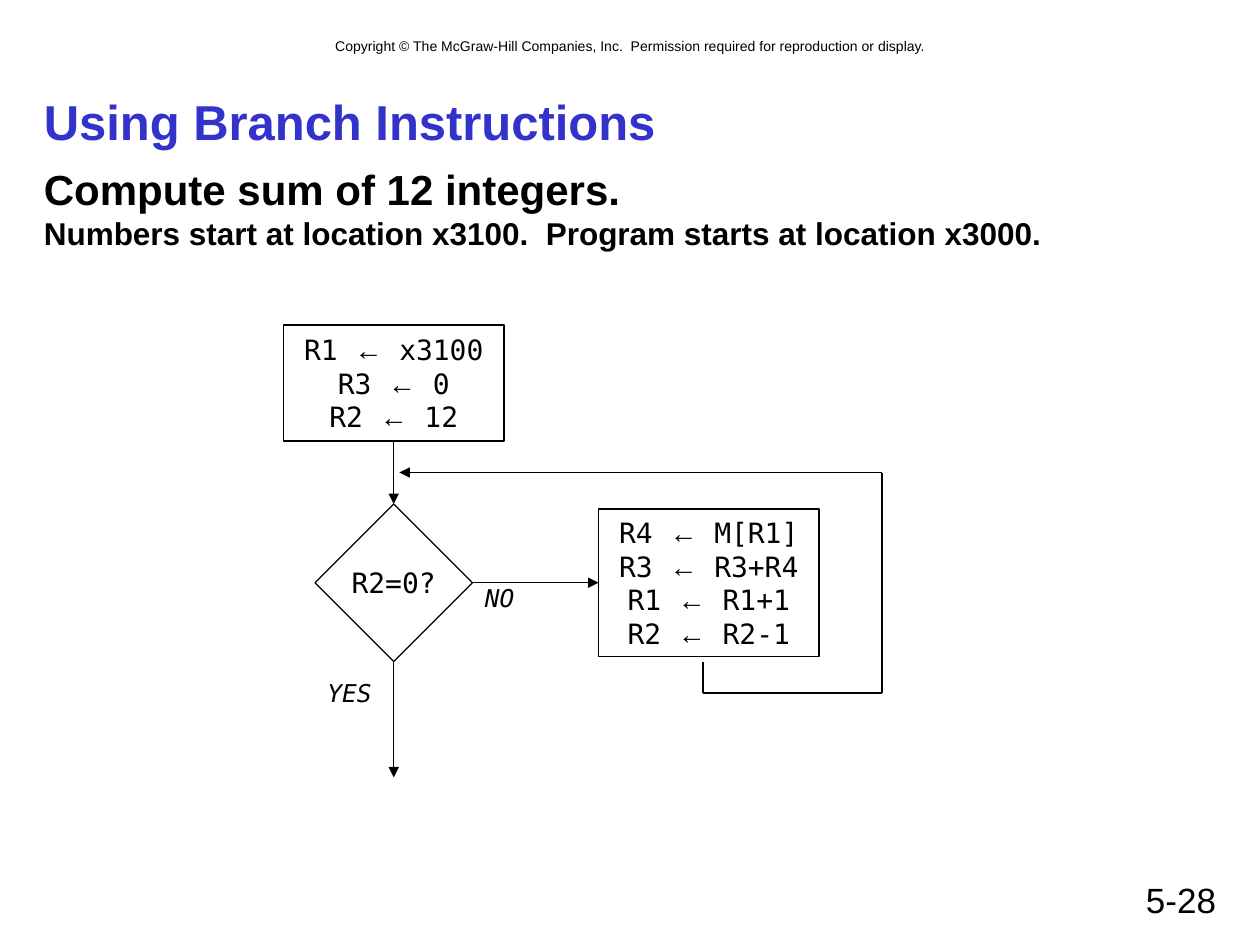
from lxml.etree import SubElement
from pptx import Presentation
from pptx.dml.color import RGBColor
from pptx.enum.shapes import MSO_CONNECTOR, MSO_SHAPE
from pptx.enum.text import MSO_ANCHOR, PP_ALIGN
from pptx.oxml.ns import qn
from pptx.util import Inches, Pt

COLORS = {"ink": "000000", "title": "3333CC"}
SANS, MONO = "Arial", "DejaVu Sans Mono"
TOP, LEFT, BOTTOM, RIGHT = range(4)


def color(name):
    return RGBColor.from_string(COLORS[name])


def add_run(para, text, size, face=SANS, tint="ink", bold=False, italic=False):
    run = para.add_run()
    run.text = text
    font = run.font
    font.size, font.name = Pt(size), face
    font.bold, font.italic = bold, italic
    font.color.rgb = color(tint)


def add_text(slide, box, align=PP_ALIGN.LEFT, wrap=True, anchor=MSO_ANCHOR.TOP):
    """Add an empty text box and return its first paragraph."""
    frame = slide.shapes.add_textbox(*map(Inches, box)).text_frame
    frame.word_wrap = wrap
    frame.vertical_anchor = anchor
    para = frame.paragraphs[0]
    para.alignment = align
    return para


def add_step(slide, kind, box, lines):
    """Add a flowchart shape; arrows in its lines are set in the sans face."""
    shape = slide.shapes.add_shape(kind, *map(Inches, box))
    shape.shadow.inherit = False
    shape.fill.background()
    shape.line.color.rgb = color("ink")
    shape.line.width = Pt(0.75)
    frame = shape.text_frame
    frame.word_wrap = False
    frame.vertical_anchor = MSO_ANCHOR.MIDDLE
    para = frame.paragraphs[0]
    para.alignment = PP_ALIGN.CENTER
    for row, line in enumerate(lines):
        if row:
            para.add_line_break()
        left, arrow, right = line.partition("←")
        add_run(para, left, 16, MONO)
        if arrow:
            add_run(para, arrow, 16)
            add_run(para, right, 16, MONO)
    return shape


def add_line(slide, start, end, arrow=False):
    line = slide.shapes.add_connector(
        MSO_CONNECTOR.STRAIGHT, *map(Inches, start + end))
    line.line.color.rgb = color("ink")
    line.line.width = Pt(0.75)
    props = line._element.spPr
    if arrow:
        SubElement(props.get_or_add_ln(), qn("a:tailEnd"), type="triangle")
    SubElement(props, qn("a:effectLst"))
    return line


def add_label(slide, text, left, top):
    para = add_text(slide, (left, top, 0.55, 0.34), PP_ALIGN.CENTER, wrap=False)
    add_run(para, text, 14, MONO, italic=True)


def add_heads(slide):
    para = add_text(slide, (0.67, 0.25, 8.67, 0.24), PP_ALIGN.CENTER)
    add_run(para, "Copyright © The McGraw-Hill Companies, Inc.  "
            "Permission required for reproduction or display.", 8)
    para = add_text(slide, (7.17, 6.92, 2.58, 0.42), PP_ALIGN.RIGHT)
    add_run(para, "5-28", 20)
    para = add_text(slide, (0.25, 0.67, 9.5, 0.58), anchor=MSO_ANCHOR.MIDDLE)
    add_run(para, "Using Branch Instructions", 28, tint="title", bold=True)
    para = add_text(slide, (0.25, 1.25, 9.5, 5.42))
    add_run(para, "Compute sum of 12 integers.", 24, bold=True)
    para.add_line_break()
    add_run(para, "Numbers start at location x3100.  "
            "Program starts at location x3000.", 18, bold=True)


def add_flow(slide):
    setup = add_step(slide, MSO_SHAPE.RECTANGLE, (2.25, 2.58, 1.75, 0.92),
                     ["R1 ← x3100", "R3 ← 0", "R2 ← 12"])
    test = add_step(slide, MSO_SHAPE.DIAMOND, (2.5, 4, 1.25, 1.25), ["R2=0?"])
    body = add_step(slide, MSO_SHAPE.RECTANGLE, (4.75, 4.04, 1.75, 1.17),
                    ["R4 ← M[R1]", "R3 ← R3+R4", "R1 ← R1+1", "R2 ← R2-1"])

    enter = add_line(slide, (3.13, 3.5), (3.13, 4), arrow=True)
    enter.begin_connect(setup, BOTTOM)
    enter.end_connect(test, TOP)
    again = add_line(slide, (3.75, 4.63), (4.75, 4.63), arrow=True)
    again.begin_connect(test, RIGHT)
    again.end_connect(body, LEFT)
    leave = add_line(slide, (3.13, 5.25), (3.13, 6.17), arrow=True)
    leave.begin_connect(test, BOTTOM)
    leave.end_x = leave.begin_x

    add_label(slide, "NO", 3.69, 4.58)
    add_label(slide, "YES", 2.5, 5.33)

    loop = [(5.58, 5.25), (5.58, 5.5), (7, 5.5), (7, 3.75), (3.17, 3.75)]
    for start, end in zip(loop, loop[1:]):
        add_line(slide, start, end, arrow=end == loop[-1])


def main():
    deck = Presentation()
    deck.slide_width, deck.slide_height = Inches(10), Inches(7.5)
    slide = deck.slides.add_slide(deck.slide_layouts[6])
    add_heads(slide)
    add_flow(slide)
    deck.save("out.pptx")


if __name__ == "__main__":
    main()
